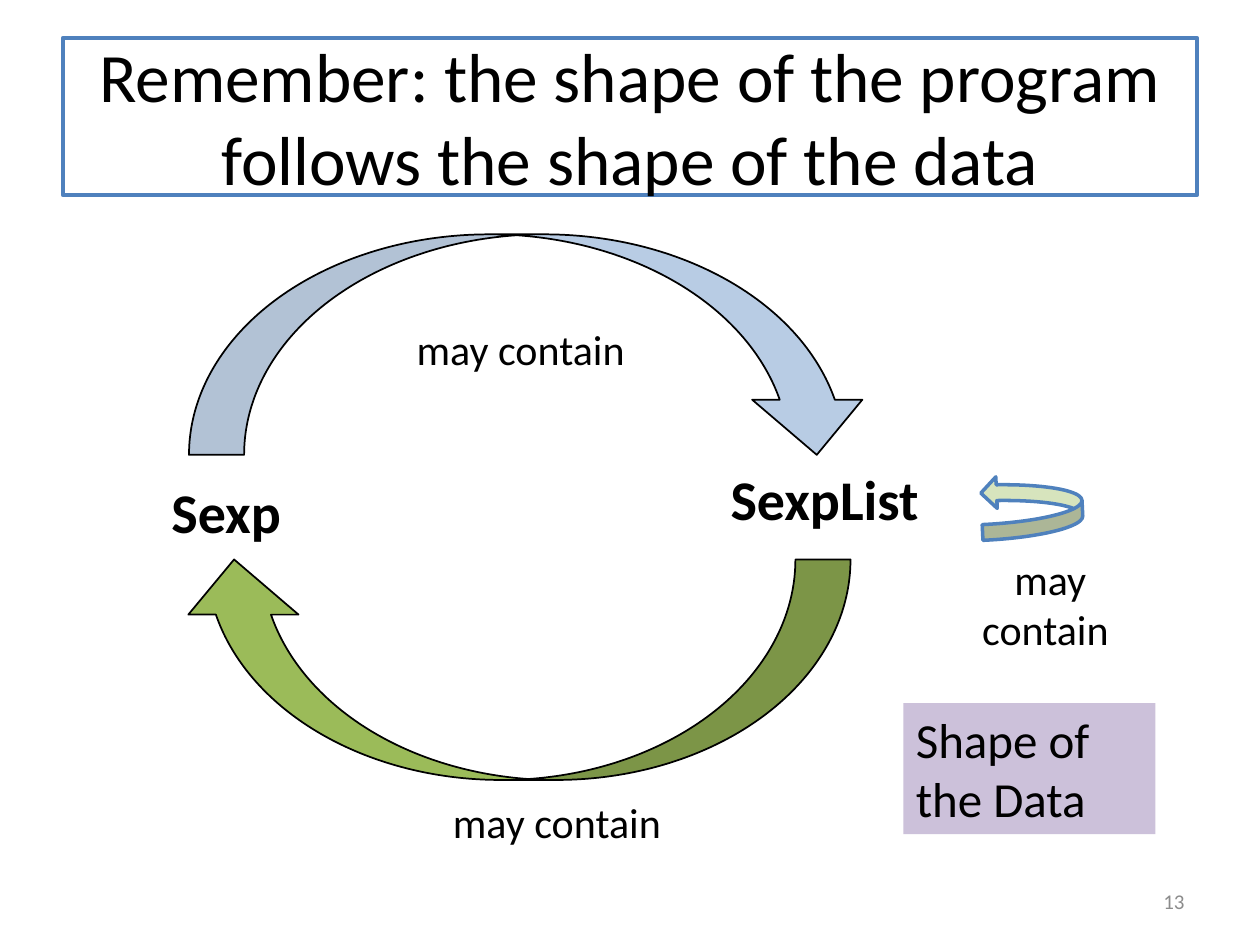
from dataclasses import dataclass
from typing import Optional

import pptx
import pptx.dml.color
import pptx.enum.shapes
import pptx.enum.text
import pptx.oxml.ns
import pptx.util
from lxml import etree

Inches = pptx.util.Inches
Pt = pptx.util.Pt
MSO = pptx.enum.shapes.MSO_SHAPE
ALIGN = pptx.enum.text.PP_ALIGN
ANCHOR = pptx.enum.text.MSO_ANCHOR

BLUE, BLACK = "4F81BD", "000000"


@dataclass
class Arrow:
    kind: int
    box: tuple
    fill: str
    line: str = BLACK
    width: float = 1
    rotation: float = 0
    opacity: Optional[int] = None


@dataclass
class Label:
    text: str
    box: tuple
    size: float = 24
    bold: bool = False
    color: str = BLACK
    align: int = ALIGN.CENTER
    anchor: int = ANCHOR.TOP
    fill: Optional[str] = None
    line: Optional[str] = None


def rgb(value: str) -> pptx.dml.color.RGBColor:
    return pptx.dml.color.RGBColor.from_string(value)


def set_fill(sp, color: str, opacity: Optional[int] = None) -> None:
    sp.fill.solid()
    sp.fill.fore_color.rgb = rgb(color)
    if opacity is not None:
        clr = sp.fill._xPr.find(".//" + pptx.oxml.ns.qn("a:srgbClr"))
        etree.SubElement(clr, pptx.oxml.ns.qn("a:alpha"), val=str(opacity * 1000))


def set_line(sp, color: str, width: float) -> None:
    sp.line.color.rgb = rgb(color)
    sp.line.width = Pt(width)


def draw_arrow(s, arrow: Arrow) -> None:
    sp = s.shapes.add_shape(arrow.kind, *map(Inches, arrow.box))
    sp.shadow.inherit = False
    sp.rotation = arrow.rotation
    set_fill(sp, arrow.fill, arrow.opacity)
    set_line(sp, arrow.line, arrow.width)


def draw_label(s, label: Label) -> None:
    sp = s.shapes.add_textbox(*map(Inches, label.box))
    if label.fill:
        set_fill(sp, label.fill)
    if label.line:
        set_line(sp, label.line, 2.25)
    tf = sp.text_frame
    tf.word_wrap = True
    tf.vertical_anchor = label.anchor
    p = tf.paragraphs[0]
    p.alignment = label.align
    r = p.add_run()
    r.text = label.text
    font = {"name": "Calibri", "size": Pt(label.size), "bold": label.bold}
    for key, value in font.items():
        setattr(r.font, key, value)
    r.font.color.rgb = rgb(label.color)


# Cycle between the two data types, and the list's own loop
ARROWS = [
    Arrow(MSO.CURVED_DOWN_ARROW, (1.5, 1.86, 5.42, 1.75), BLUE, opacity=40),
    Arrow(MSO.CURVED_DOWN_ARROW, (1.42, 4.44, 5.33, 1.75), "9BBB59", rotation=180),
    Arrow(MSO.CURVED_UP_ARROW, (7.94, 3.62, 0.5, 0.8), "D7E4BD", BLUE, 2, 267.4),
]

LABELS = [
    # Title and slide number
    Label("Remember: the shape of the program follows the shape of the data",
          (0.5, 0.3, 9, 1.25), 39.6, anchor=ANCHOR.MIDDLE, fill="FFFFFF", line=BLUE),
    Label("13", (7.17, 6.95, 2.33, 0.4), 12, color="8C8C8C",
          align=ALIGN.RIGHT, anchor=ANCHOR.MIDDLE),
    # Arrow captions
    Label("may contain ", (2.67, 2.52, 3, 0.5)),
    Label("may contain", (2.92, 6.27, 3, 0.5)),
    Label("may contain ", (7.46, 4.34, 1.75, 0.91)),
    # Data types
    Label("Sexp", (1.17, 3.74, 1.25, 0.64), 32, bold=True),
    Label("SexpList", (5.67, 3.64, 1.75, 0.64), 32, bold=True),
    # Key
    Label("Shape of the Data", (7.17, 5.58, 2, 1.04), 28,
          align=ALIGN.LEFT, fill="CCC1DA"),
]


def main() -> None:
    prs = pptx.Presentation()
    prs.slide_width, prs.slide_height = Inches(10), Inches(7.5)
    s = prs.slides.add_slide(prs.slide_layouts[6])
    for arrow in ARROWS:
        draw_arrow(s, arrow)
    for label in LABELS:
        draw_label(s, label)
    prs.save("out.pptx")


if __name__ == "__main__":
    main()
